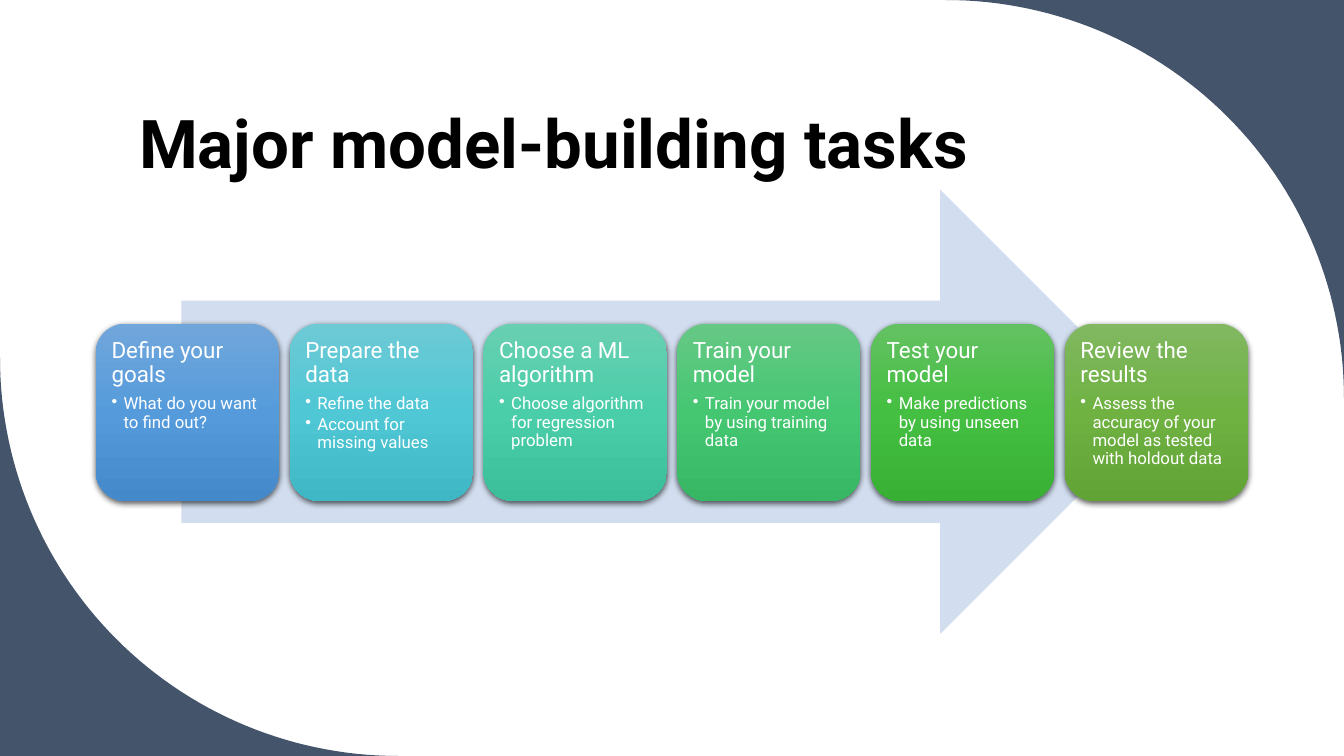
"""Build the slide on major model-building tasks."""
import math
from copy import deepcopy

from lxml import etree
from pptx import Presentation
from pptx.dml.color import RGBColor
from pptx.enum.shapes import MSO_SHAPE
from pptx.enum.text import MSO_ANCHOR, MSO_AUTO_SIZE, PP_ALIGN
from pptx.oxml.ns import qn
from pptx.util import Inches, Pt

ARROW, CARD = MSO_SHAPE.RIGHT_ARROW, MSO_SHAPE.ROUNDED_RECTANGLE
TOP, BOTTOM = MSO_ANCHOR.TOP, MSO_ANCHOR.BOTTOM
LEFT, NO_FIT = PP_ALIGN.LEFT, MSO_AUTO_SIZE.NONE
FONT = "Roboto"
COLORS = {"corner": "44546A", "arrow": "D2DEEF", "title": "000000",
          "text": "FFFFFF", "shadow": "000000"}
TASKS = [
    ("Define your goals", ["What do you want to find out?"],
     ("71A6DB", "559BDB", "448ACA")),
    ("Prepare the data", ["Refine the data", "Account for missing values"],
     ("6DCAD5", "4FC7D5", "3FB7C4")),
    ("Choose a ML algorithm", ["Choose algorithm for regression problem"],
     ("69CFB1", "4ACEAA", "3BBE9A")),
    ("Train your model", ["Train your model by using training data"],
     ("66C885", "45C772", "37B764")),
    ("Test your model", ["Make predictions by using unseen data"],
     ("64C162", "44BF41", "37B034")),
    ("Review the results",
     ["Assess the accuracy of your model as tested with holdout data"],
     ("81B861", "6FB242", "62A336")),
]
WIDTH, HEIGHT, RADIUS = 13.33, 7.5, 3.95


def paint(sp, color):
    sp.fill.solid()
    sp.fill.fore_color.rgb = RGBColor.from_string(color)
    sp.line.fill.background()
    sp.shadow.inherit = False


def style(p, size, color, bold=False):
    p.alignment = LEFT
    p.line_spacing = 0.9
    for r in p.runs:
        r.font.name = FONT
        r.font.size = Pt(size)
        r.font.bold = bold
        r.font.color.rgb = RGBColor.from_string(color)


prs = Presentation()
prs.slide_width, prs.slide_height = Inches(WIDTH), Inches(HEIGHT)
s = prs.slides.add_slide(prs.slide_layouts[5])

corners = [(WIDTH, 0, WIDTH - RADIUS, RADIUS, -90),
           (0, HEIGHT, RADIUS, HEIGHT - RADIUS, 90)]
for corner_x, corner_y, center_x, center_y, start in corners:
    angles = [math.radians(start + 1.5 * i) for i in range(61)]
    arc = [(Inches(center_x + RADIUS * math.cos(a)),
            Inches(center_y + RADIUS * math.sin(a))) for a in angles]
    outline = s.shapes.build_freeform(Inches(corner_x), Inches(corner_y))
    outline.add_line_segments(arc, close=True)
    paint(outline.convert_to_shape(), COLORS["corner"])

title = s.shapes.title
title.left, title.top = Inches(1.28), Inches(0.42)
title.width, title.height = Inches(10.69), Inches(1.45)
tf = title.text_frame
tf.text = "Major model-building tasks"
tf.vertical_anchor, tf.auto_size = BOTTOM, NO_FIT
style(tf.paragraphs[0], 48, COLORS["title"], bold=True)

arrow = s.shapes.add_shape(ARROW, Inches(1.8), Inches(1.88), Inches(9.73), Inches(4.41))
paint(arrow, COLORS["arrow"])

for i, (heading, bullets, shades) in enumerate(TASKS):
    sp = s.shapes.add_shape(CARD, Inches(0.95 + 1.922 * i), Inches(3.21),
                            Inches(1.82), Inches(1.76))
    sp.line.fill.background()
    sp.fill.gradient()
    sp.fill.gradient_angle = 270
    stop_list = sp.element.spPr.find(".//" + qn("a:gsLst"))
    stop_list.insert(1, deepcopy(stop_list[0]))
    for stop, position, shade in zip(sp.fill.gradient_stops, (0, 0.5, 1), shades):
        stop.position = position
        stop.color.rgb = RGBColor.from_string(shade)

    sp.shadow.inherit = False
    effects = sp.element.spPr.find(qn("a:effectLst"))
    shadow = etree.SubElement(effects, qn("a:outerShdw"), blurRad=str(Pt(4.5)),
                              dist=str(Pt(1.5)), dir="5400000", algn="ctr", rotWithShape="0")
    shadow_color = etree.SubElement(shadow, qn("a:srgbClr"), val=COLORS["shadow"])
    etree.SubElement(shadow_color, qn("a:alpha"), val="63000")

    tf = sp.text_frame
    tf.word_wrap, tf.vertical_anchor = True, TOP
    tf.margin_left = tf.margin_right = tf.margin_top = tf.margin_bottom = Inches(0.07)
    p = tf.paragraphs[0]
    p.text = heading
    style(p, 16, COLORS["text"])
    p.space_after = Pt(5.6)
    for bullet in bullets:
        p = tf.add_paragraph()
        p.text = bullet
        p.level = 1
        style(p, 12, COLORS["text"])
        p.space_after = Pt(1.8)
        pPr = p._p.get_or_add_pPr()
        pPr.set("marL", str(Inches(0.12)))
        pPr.set("indent", str(-Inches(0.12)))
        etree.SubElement(pPr, qn("a:buChar"), char="•")

prs.save("out.pptx")
